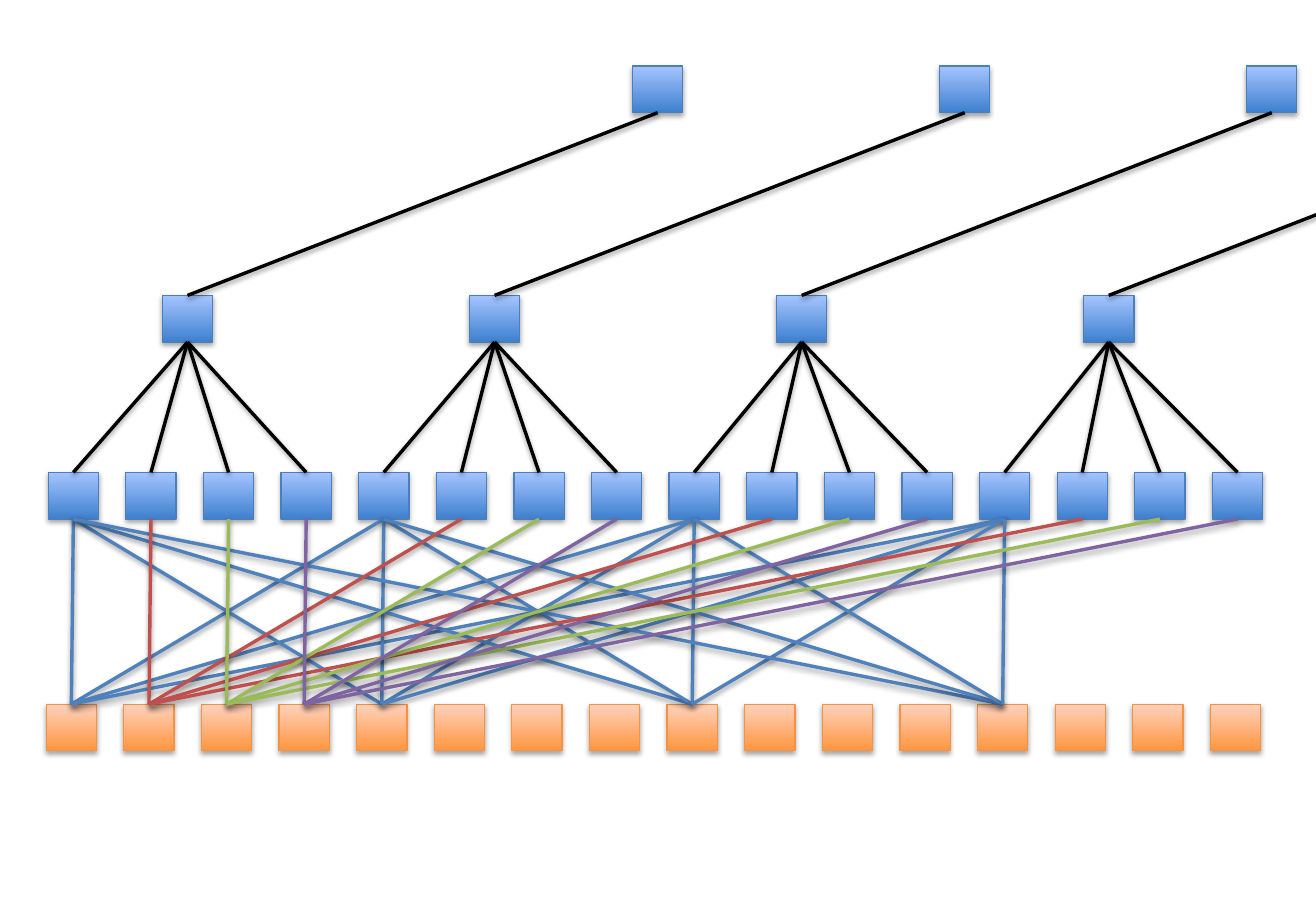
from pptx import Presentation
from pptx.dml.color import RGBColor
from pptx.enum.shapes import MSO_CONNECTOR, MSO_SHAPE
from pptx.oxml import parse_xml
from pptx.oxml.ns import nsdecls
from pptx.util import Pt

RECT = MSO_SHAPE.RECTANGLE
LINE = MSO_CONNECTOR.STRAIGHT
TOP, BOTTOM = 0, 2

BLACK = RGBColor(0x00, 0x00, 0x00)
BLUE = RGBColor(0x4F, 0x81, 0xBD)
RED = RGBColor(0xC0, 0x50, 0x4D)
GREEN = RGBColor(0x9B, 0xBB, 0x59)
PURPLE = RGBColor(0x80, 0x64, 0xA2)
NODE = (RGBColor(0x3F, 0x80, 0xCE), RGBColor(0xA4, 0xC4, 0xFF),
        RGBColor(0x4B, 0x7E, 0xBC))
LEAF = (RGBColor(0xFF, 0x95, 0x3E), RGBColor(0xFF, 0xD2, 0xBD),
        RGBColor(0xF6, 0x92, 0x40))

WIDE, HIGH = 29.8, 27.7
STEP, SPAN = 46, 182
GROUP = 4
COUNT = GROUP * GROUP


class Tree:
    thin = Pt(0.75)
    thick = Pt(2)
    blur = Pt(3.1)

    def __init__(self, slide):
        self.shapes = slide.shapes

    def shade(self, item, drop, alpha):
        item._element.spPr.append(parse_xml(
            f'<a:effectLst {nsdecls("a")}><a:outerShdw blurRad="{self.blur}" '
            f'dist="{Pt(drop)}" dir="5400000" rotWithShape="0">'
            f'<a:srgbClr val="000000"><a:alpha val="{alpha * 1000}"/>'
            '</a:srgbClr></a:outerShdw></a:effectLst>'))

    def box(self, left, top, style):
        low, high, edge = style
        box = self.shapes.add_shape(RECT, Pt(left), Pt(top), Pt(WIDE), Pt(HIGH))
        box.fill.gradient()
        box.fill.gradient_angle = 90
        for stop, color in zip(box.fill.gradient_stops, (low, high)):
            stop.color.rgb = color
            stop.position = 0 if color == low else 1
        box.line.color.rgb = edge
        box.line.width = self.thin
        self.shade(box, 1.8, 35)
        return box

    def row(self, left, top, step, count, style):
        return [self.box(left + i * step, top, style) for i in range(count)]

    def line(self, start, end, color):
        line = self.shapes.add_connector(LINE, *start, *end)
        line.line.color.rgb = color
        line.line.width = self.thick
        self.shade(line, 1.6, 38)
        return line

    def link(self, low, high, color):
        start = low.left + low.width // 2, low.top
        end = high.left + high.width // 2, high.top + high.height
        line = self.line(start, end, color)
        line.begin_connect(low, TOP)
        line.end_connect(high, BOTTOM)


deck = Presentation()
deck.slide_width, deck.slide_height = Pt(780), Pt(540)
tree = Tree(deck.slides.add_slide(deck.slide_layouts[6]))

leaves = tree.row(27.4, 417.4, STEP, COUNT, LEAF)
nodes = tree.row(28.6, 280, STEP, COUNT, NODE)

for leaf in leaves[::GROUP]:
    for node in nodes[::GROUP]:
        tree.link(leaf, node, BLUE)
for i, color in enumerate((RED, GREEN, PURPLE), 1):
    for node in nodes[i::GROUP]:
        tree.link(leaves[i], node, color)

heads = tree.row(96.3, 175.1, SPAN, GROUP, NODE)
for i, node in enumerate(nodes):
    tree.link(node, heads[i // GROUP], BLACK)

roots = tree.row(374.9, 39.1, SPAN, GROUP - 1, NODE)
for head, root in zip(heads, roots):
    tree.link(head, root, BLACK)

last = heads[-1]
start = last.left + last.width // 2, last.top
end = start[0] + roots[0].left - heads[0].left, Pt(39.1 + HIGH)
tree.line(start, end, BLACK)

deck.save("out.pptx")
